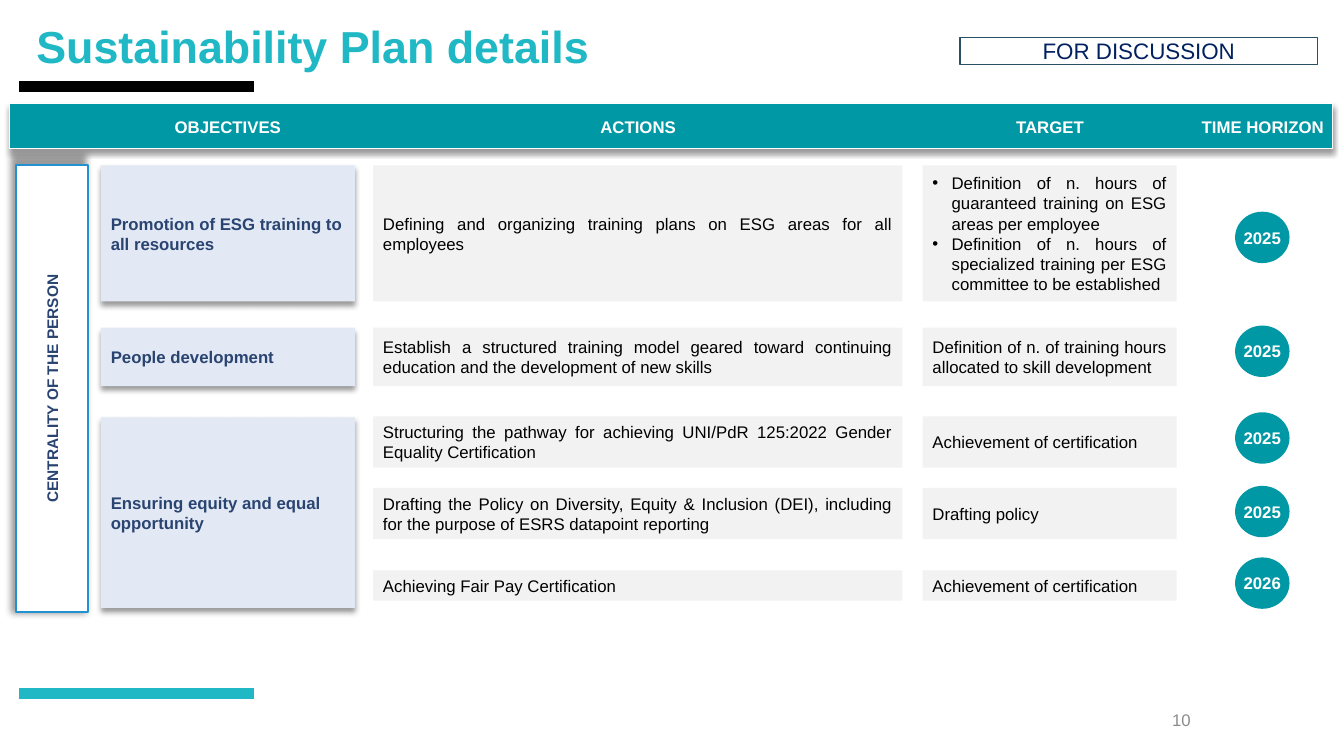
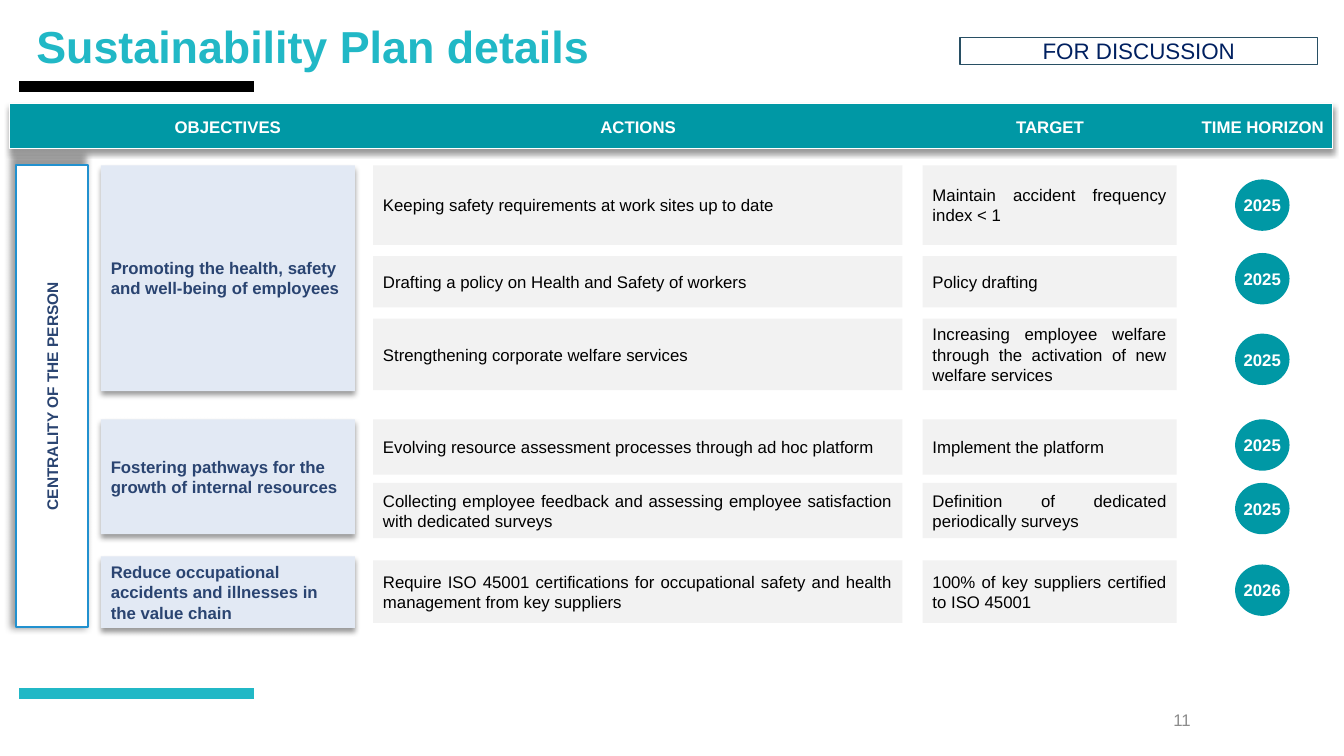
from collections import namedtuple

from lxml.etree import SubElement
from pptx import Presentation
from pptx.dml.color import RGBColor
from pptx.enum.shapes import MSO_CONNECTOR, MSO_SHAPE
from pptx.enum.text import MSO_ANCHOR, MSO_AUTO_SIZE, PP_ALIGN
from pptx.oxml.ns import qn
from pptx.util import Inches, Pt

FONT = "Arial"
AQUA = RGBColor(0x21, 0xB8, 0xC6)
TEAL = RGBColor(0x00, 0x98, 0xA5)
BLUE = RGBColor(0x21, 0x91, 0xCF)
SLATE = RGBColor(0x28, 0x4F, 0x64)
NAVY = RGBColor(0x00, 0x20, 0x60)
INDIGO = RGBColor(0x2A, 0x44, 0x71)
PALE_BLUE = RGBColor(0xE2, 0xE9, 0xF4)
PALE_GREY = RGBColor(0xF2, 0xF2, 0xF2)
GREY = RGBColor(0x8C, 0x8C, 0x8C)
BLACK = RGBColor(0, 0, 0)
WHITE = RGBColor(0xFF, 0xFF, 0xFF)

Box = namedtuple("Box", "left top width height")
# Offsets are measured from the top of the plan area
Objective = namedtuple("Objective", "text top height")
Action = namedtuple("Action", "text target year top height year_top")

TITLE = Box(0.26, 0.11, 6.12, 0.76)
STATUS = Box(9.52, 0.37, 3.55, 0.27)
HEADER = Box(0.09, 1.03, 13.13, 0.44)
PAGE_NUMBER = Box(8.91, 6.94, 3, 0.4)
PLAN_LEFT, PLAN_TOP, PLAN_WIDTH = 0.16, 1.64, 12.63

# Columns of the plan area: offset from its left edge, width
SIDEBAR_WIDTH = 0.71
OBJECTIVE_COLUMN = (0.84, 2.52)
ACTION_COLUMN = (3.54, 5.25)
TARGET_COLUMN = (8.99, 2.52)
YEAR_COLUMN = (12.09, 0.54)
YEAR_HEIGHT = 0.51

# Headings: text, offset from the left edge of the header, width
HEADINGS = [
    ("OBJECTIVES", 1.45, 1.44),
    ("ACTIONS", 4.51, 3.46),
    ("TARGET", 9.61, 1.43),
    ("TIME HORIZON", 11.72, 1.43),
]

PLANS = [
    (10, 4.43, [
        Objective("Promotion of ESG training to all resources", 0, 1.35),
        Objective("People development", 1.61, 0.58),
        Objective("Ensuring equity and equal opportunity", 2.5, 1.89),
    ], [
        Action("Defining and organizing training plans on ESG areas for all employees",
               ["Definition of n. hours of guaranteed training on ESG areas per employee",
                "Definition of n. hours of specialized training per ESG committee "
                "to be established"], "2025", 0, 1.35, 0.46),
        Action("Establish a structured training model geared toward continuing education "
               "and the development of new skills",
               ["Definition of n. of training hours allocated to skill development"],
               "2025", 1.61, 0.58, 1.59),
        Action("Structuring the pathway for achieving UNI/PdR 125:2022 Gender Equality "
               "Certification", ["Achievement of certification"],
               "2025", 2.49, 0.51, 2.45),
        Action("Drafting the Policy on Diversity, Equity & Inclusion (DEI), including "
               "for the purpose of ESRS datapoint reporting", ["Drafting policy"],
               "2025", 3.2, 0.51, 3.18),
        Action("Achieving Fair Pay Certification", ["Achievement of certification"],
               "2026", 4.02, 0.3, 3.89),
    ]),
    (11, 4.58, [
        Objective("Promoting the health, safety and well-being of employees", 0, 2.24),
        Objective("Fostering pathways for the growth of internal resources", 2.52, 1.14),
        Objective("Reduce occupational accidents and illnesses in the value chain",
                  3.88, 0.71),
    ], [
        Action("Keeping safety requirements at work sites up to date",
               ["Maintain accident frequency index < 1"], "2025", 0, 0.79, 0.14),
        Action("Drafting a policy on Health and Safety of workers",
               ["Policy drafting"], "2025", 0.9, 0.51, 0.87),
        Action("Strengthening corporate welfare services",
               ["Increasing employee welfare through the activation of new welfare "
                "services"], "2025", 1.52, 0.71, 1.67),
        Action("Evolving resource assessment processes through ad hoc platform",
               ["Implement the platform"], "2025", 2.52, 0.55, 2.52),
        Action("Collecting employee feedback and assessing employee satisfaction with "
               "dedicated surveys", ["Definition of dedicated periodically surveys"],
               "2025", 3.15, 0.55, 3.15),
        Action("Require ISO 45001 certifications for occupational safety and health "
               "management from key suppliers",
               ["100% of key suppliers certified to ISO 45001"],
               "2026", 3.92, 0.62, 3.96),
    ]),
]


def emu(box):
    return [Inches(value) for value in box]


def add_bullet(paragraph):
    properties = paragraph._p.get_or_add_pPr()
    properties.set("marL", str(Inches(0.19)))
    properties.set("indent", str(-Inches(0.19)))
    SubElement(properties, qn("a:buFont")).set("typeface", FONT)
    SubElement(properties, qn("a:buChar")).set("char", "•")


def write(shape, lines, color, size=12, bold=False, align=PP_ALIGN.LEFT, wrap=True):
    """Fill a shape with paragraphs; several lines become a bulleted list."""
    frame = shape.text_frame
    frame.word_wrap = wrap
    frame.auto_size = MSO_AUTO_SIZE.NONE
    frame.vertical_anchor = MSO_ANCHOR.MIDDLE
    for index, line in enumerate(lines):
        paragraph = frame.add_paragraph() if index else frame.paragraphs[0]
        paragraph.text = line
        paragraph.alignment = align
        if len(lines) > 1:
            add_bullet(paragraph)
        font = paragraph.font
        font.name, font.size, font.bold = FONT, Pt(size), bold
        font.color.rgb = color


def add_panel(slide, box, fill=None, line=None, line_width=1, kind=MSO_SHAPE.RECTANGLE):
    shape = slide.shapes.add_shape(kind, *emu(box))
    shape.shadow.inherit = False
    if fill is None:
        shape.fill.background()
    else:
        shape.fill.solid()
        shape.fill.fore_color.rgb = fill
    if line is None:
        shape.line.fill.background()
    else:
        shape.line.color.rgb = line
        shape.line.width = Pt(line_width)
    return shape


def add_shadow(shape, blur, distance, direction, scale=100):
    effects = shape._element.spPr.find(qn("a:effectLst"))
    shadow = SubElement(effects, qn("a:outerShdw"), blurRad=str(Pt(blur)),
                        dist=str(Pt(distance)), dir=str(direction * 60000),
                        sx=str(scale * 1000), sy=str(scale * 1000),
                        algn="ctr", rotWithShape="0")
    color = SubElement(shadow, qn("a:srgbClr"), val=str(BLACK))
    SubElement(color, qn("a:alpha"), val="40000")


def add_rule(slide, top, color):
    rule = slide.shapes.add_connector(
        MSO_CONNECTOR.STRAIGHT, Inches(0.19), Inches(top), Inches(2.52), Inches(top))
    rule.line.color.rgb = color
    rule.line.width = Pt(8)
    SubElement(rule._element.spPr, qn("a:effectLst"))


def add_frame(slide, number):
    """Title, status label, rules and page number."""
    title = slide.shapes.title
    title.left, title.top, title.width, title.height = emu(TITLE)
    write(title, ["Sustainability Plan details"], AQUA, size=32, bold=True)
    paragraph = title.text_frame.paragraphs[0]
    paragraph.line_spacing = 0.9
    paragraph.space_after = Pt(6)

    add_rule(slide, 0.86, BLACK)
    add_rule(slide, 6.88, AQUA)
    status = add_panel(slide, STATUS, line=SLATE)
    write(status, ["FOR DISCUSSION"], NAVY, size=16, align=PP_ALIGN.CENTER)
    page = slide.shapes.add_textbox(*emu(PAGE_NUMBER))
    write(page, [str(number)], GREY, align=PP_ALIGN.RIGHT)


def add_header(slide, box):
    """Coloured band with the column headings."""
    band = add_panel(slide, box, TEAL, WHITE, 0.5)
    add_shadow(band, 4, 3, 90)
    for text, offset, width in HEADINGS:
        heading = slide.shapes.add_textbox(
            *emu((box.left + offset, box.top + 0.08, width, 0.3)))
        write(heading, [text], WHITE, bold=True, align=PP_ALIGN.CENTER, wrap=False)


def add_sidebar(slide, box):
    """Upright label: a wide panel turned about the centre of the box."""
    left = box.left + (box.width - box.height) / 2
    top = box.top + (box.height - box.width) / 2
    sidebar = add_panel(slide, (left, top, box.height, box.width), WHITE, BLUE, 1.5)
    sidebar.rotation = 270
    add_shadow(sidebar, 5, 0, 0, scale=102)
    write(sidebar, ["CENTRALITY OF THE PERSON"], INDIGO, size=11, bold=True,
          align=PP_ALIGN.CENTER)


def add_plan(slide, box, objectives, actions):
    """Objectives, with their actions, targets and years."""
    def cell(column, top, height):
        offset, width = column
        return Box(box.left + offset, box.top + top, width, height)

    for objective in objectives:
        panel = add_panel(
            slide, cell(OBJECTIVE_COLUMN, objective.top, objective.height), PALE_BLUE)
        add_shadow(panel, 4, 3, 90)
        write(panel, [objective.text], INDIGO, bold=True)

    for action in actions:
        for column, lines in ((ACTION_COLUMN, [action.text]),
                              (TARGET_COLUMN, action.target)):
            panel = add_panel(slide, cell(column, action.top, action.height), PALE_GREY)
            write(panel, lines, BLACK, align=PP_ALIGN.JUSTIFY)
        year = add_panel(slide, cell(YEAR_COLUMN, action.year_top, YEAR_HEIGHT), TEAL,
                         kind=MSO_SHAPE.FLOWCHART_CONNECTOR)
        write(year, [action.year], WHITE, bold=True, align=PP_ALIGN.CENTER, wrap=False)


def main():
    presentation = Presentation()
    presentation.slide_width = Inches(13.33)
    presentation.slide_height = Inches(7.5)
    title_only = presentation.slide_layouts[5]
    for number, height, objectives, actions in PLANS:
        slide = presentation.slides.add_slide(title_only)
        plan = Box(PLAN_LEFT, PLAN_TOP, PLAN_WIDTH, height)
        add_frame(slide, number)
        add_sidebar(slide, plan._replace(width=SIDEBAR_WIDTH))
        add_header(slide, HEADER)
        add_plan(slide, plan, objectives, actions)
    presentation.save("out.pptx")


if __name__ == "__main__":
    main()
